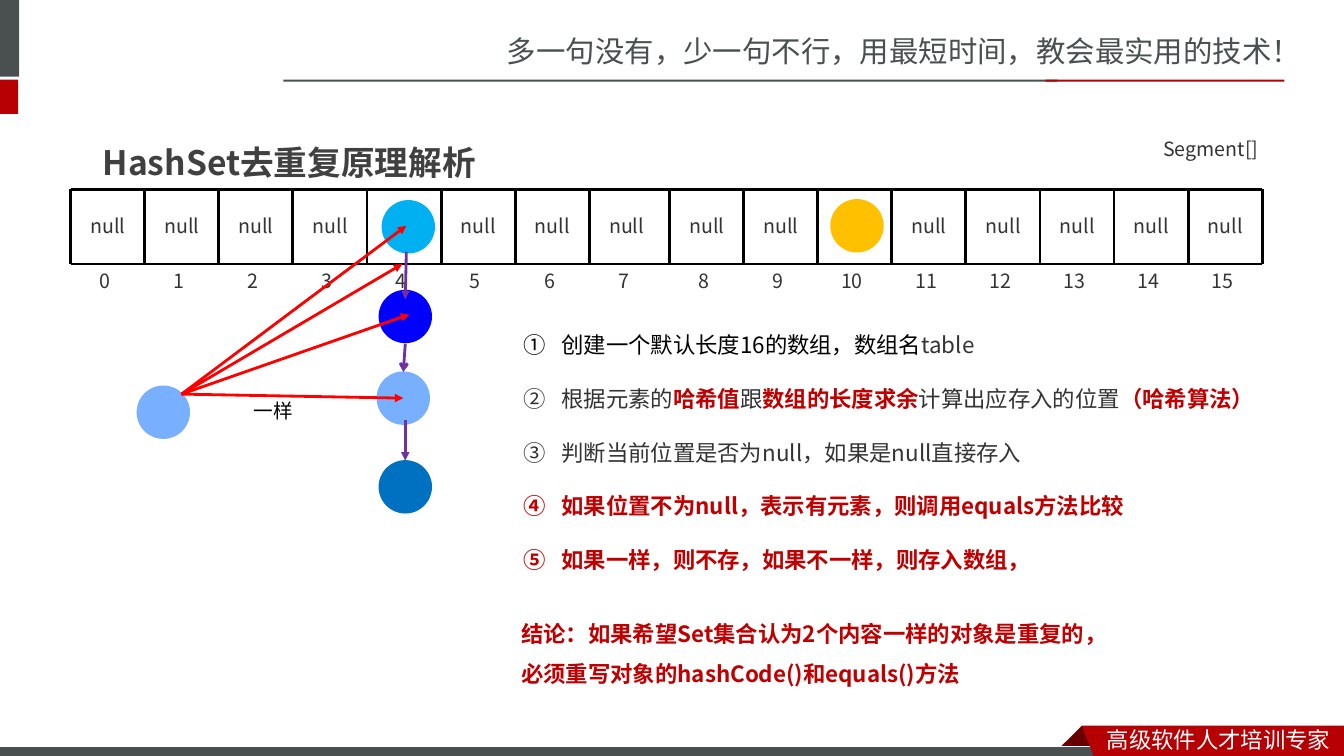
from lxml import etree
from pptx import Presentation
from pptx.dml.color import RGBColor
from pptx.enum.shapes import MSO_CONNECTOR, MSO_SHAPE
from pptx.enum.text import PP_ALIGN
from pptx.oxml.ns import qn
from pptx.util import Inches, Pt

RECT, OVAL = MSO_SHAPE.RECTANGLE, MSO_SHAPE.OVAL
STRAIGHT = MSO_CONNECTOR.STRAIGHT
LEFT, CENTER = PP_ALIGN.LEFT, PP_ALIGN.CENTER
SANS, HEAVY = "Noto Sans CJK SC", "Noto Sans CJK JP"
SLATE, BRICK, MAROON, WHITE = "49504F", "B60004", "680000", "FFFFFF"
BLACK, GREY, RED = "000000", "333333", "C00000"
PURPLE, ARROW_RED = "7030A0", "FF0000"

SLOGAN = "多一句没有，少一句不行，用最短时间，教会最实用的技术！"
FOOTER = "高级软件人才培训专家"
TITLE = "HashSet去重复原理解析"
# Each step is a list of (text, colour, bold)
STEPS = [
    [("创建一个默认长度16的数组，数组名", BLACK, False), ("table", GREY, False)],
    [("根据元素的", GREY, False), ("哈希值", RED, True), ("跟", GREY, False),
     ("数组的长度求余", RED, True), ("计算出应存入的位置", GREY, False),
     ("（哈希算法）", RED, True)],
    [("判断当前位置是否为null，如果是null直接存入", GREY, False)],
    [("如果位置不为null，表示有元素，则调用equals方法比较", RED, True)],
    [("如果一样，则不存，如果不一样，则存入数组，", RED, True)],
]
CONCLUSION = [
    [("结论：如果希望Set集合认为2个内容一样的对象是重复的，", RED, True)],
    [("必须重写对象的hashCode()和equals()方法", RED, True)],
]

# Array of slots: even columns, with a slightly wider one before slot 8
SLOTS, FILLED = 16, (4, 10)
ARRAY_LEFT, ARRAY_TOP, ARRAY_BOTTOM = 0.7, 1.88, 2.62
COLUMN, EXTRA, EXTRA_FROM = 0.735, 0.06, 8
LABEL_HEIGHT = 0.34

# Nodes: centre x, centre y, colour
DIAMETER = 0.53
NODES = [(8.5, 2.24, "FFC000"), (4.02, 4.83, "0070C0"), (4, 3.95, "79AFFF"),
         (4.02, 3.14, "0000FF"), (4.05, 2.25, "00B0F0"), (1.62, 4.09, "79AFFF")]
LINKS = [((4.02, 3.41), (4, 3.69), "arrow"), ((4.02, 4.17), (4.02, 4.57), "triangle"),
         ((4.03, 2.5), (4.02, 2.97), "triangle")]
PROBE_START = (1.8, 3.91)
PROBE_ENDS = [(3.99, 2.62), (4.03, 2.24), (4.06, 3.12), (4, 3.95)]

deck = Presentation()
deck.slide_width, deck.slide_height = Inches(13.33), Inches(7.5)
page = deck.slides.add_slide(deck.slide_layouts[6])


def color(value):
    return RGBColor.from_string(value)


def paint(shape, fill, line=None):
    shape.shadow.inherit = False
    shape.fill.solid()
    shape.fill.fore_color.rgb = color(fill)
    if line:
        shape.line.color.rgb = color(line)
        shape.line.width = Pt(0.75)
    else:
        shape.line.fill.background()


def add_block(kind, left, top, width, height, fill, line=None):
    box = (Inches(value) for value in (left, top, width, height))
    paint(page.shapes.add_shape(kind, *box), fill, line)


def add_polygon(points, fill):
    corners = [(Inches(x), Inches(y)) for x, y in points]
    outline = page.shapes.build_freeform(*corners[0], scale=1.0)
    outline.add_line_segments(corners[1:], close=True)
    paint(outline.convert_to_shape(), fill)


def add_line(start, end, stroke=BLACK, tail=None):
    line = page.shapes.add_connector(
        STRAIGHT, *(Inches(value) for value in (*start, *end)))
    line.line.color.rgb = color(stroke)
    line.line.width = Pt(2)
    if tail:
        etree.SubElement(line.line._get_or_add_ln(), qn("a:tailEnd"), type=tail)
    etree.SubElement(line._element.spPr, qn("a:effectLst"))


def number_paragraph(para):
    """Give the paragraph a circled number and a hanging indent."""
    properties = para._p.get_or_add_pPr()
    properties.set("marL", str(Inches(0.38)))
    properties.set("indent", str(-Inches(0.38)))
    etree.SubElement(properties, qn("a:buFont"), typeface=HEAVY)
    etree.SubElement(properties, qn("a:buAutoNum"), type="circleNumDbPlain")


def add_text(paragraphs, left, top, width, height, *, size=14, font=SANS, ink=GREY,
             bold=False, align=LEFT, spacing=None, wrap=True, numbered=False):
    """Add a text box from a string, or from paragraphs of (text, colour, bold)."""
    if isinstance(paragraphs, str):
        paragraphs = [[(paragraphs, ink, bold)]]
    box = page.shapes.add_textbox(
        *(Inches(value) for value in (left, top, width, height)))
    frame = box.text_frame
    frame.word_wrap = wrap
    for number, spans in enumerate(paragraphs):
        para = frame.add_paragraph() if number else frame.paragraphs[0]
        para.alignment = align
        if spacing:
            para.line_spacing = spacing
        if numbered:
            number_paragraph(para)
        for text, span_ink, span_bold in spans:
            span = para.add_run()
            span.text = text
            span.font.size, span.font.bold = Pt(size), span_bold
            span.font.name = font
            span.font.color.rgb = color(span_ink)
            etree.SubElement(span._r.get_or_add_rPr(), qn("a:ea"), typeface=font)


def add_label(text, center, top, width=0.6, **style):
    add_text(text, center - width / 2, top, width, LABEL_HEIGHT,
             align=CENTER, wrap=False, **style)


def slot_left(slot):
    return ARRAY_LEFT + COLUMN * slot + (EXTRA if slot >= EXTRA_FROM else 0)


def add_frame():
    add_text(SLOGAN, 4.93, 0.28, 8.41, 0.47, size=21, ink=SLATE)
    add_block(RECT, 0, 0, 0.19, 0.76, SLATE)
    add_block(RECT, 0, 0.79, 0.18, 0.34, BRICK)
    add_block(RECT, 2.81, 0.79, 7.68, 0.02, SLATE)
    add_block(RECT, 10.37, 0.79, 2.37, 0.02, BRICK)
    add_polygon([(10.73, 7.2), (10.95, 7.42), (10.94, 7.43), (10.52, 7.43),
                 (10.51, 7.42)], MAROON)
    add_block(RECT, -0.01, 7.41, 11, 0.12, SLATE, WHITE)
    add_polygon([(10.73, 7.2), (13.33, 7.2), (13.33, 7.54), (10.86, 7.53)], BRICK)
    add_text(FOOTER, 10.88, 7.15, 2.45, 0.37, size=16, ink=WHITE)


def add_array():
    for y in (ARRAY_TOP, ARRAY_BOTTOM):
        add_line((ARRAY_LEFT, y), (slot_left(SLOTS), y))
    for edge in range(SLOTS + 1):
        add_line((slot_left(edge), ARRAY_TOP), (slot_left(edge), ARRAY_BOTTOM))
    for slot in range(SLOTS):
        add_label(str(slot), slot_left(slot) + 0.34, ARRAY_BOTTOM)
        if slot not in FILLED:
            add_label("null", slot_left(slot) + 0.37, 2.07)
    add_label("Segment[]", 12.01, 1.31, 1.17)


def add_chain():
    for x, y, fill in NODES:
        add_block(OVAL, x - DIAMETER / 2, y - DIAMETER / 2, DIAMETER, DIAMETER, fill)
    for start, end, tail in LINKS:
        add_line(start, end, PURPLE, tail)
    for end in PROBE_ENDS:
        add_line(PROBE_START, end, ARROW_RED, "triangle")
    add_label("一样", 2.71, 3.91, ink=BLACK)


add_frame()
add_array()
add_chain()
add_text(TITLE, 0.92, 1.16, 6.55, 0.65, size=24, font=HEAVY, ink="404040",
         bold=True, spacing=1.5)
add_text(STEPS, 5.09, 2.97, 7.53, 2.9, size=16, font=HEAVY, spacing=2, numbered=True)
add_text(CONCLUSION, 5.07, 5.97, 7.53, 0.87, size=16, font=HEAVY, spacing=1.5)
deck.save("out.pptx")
